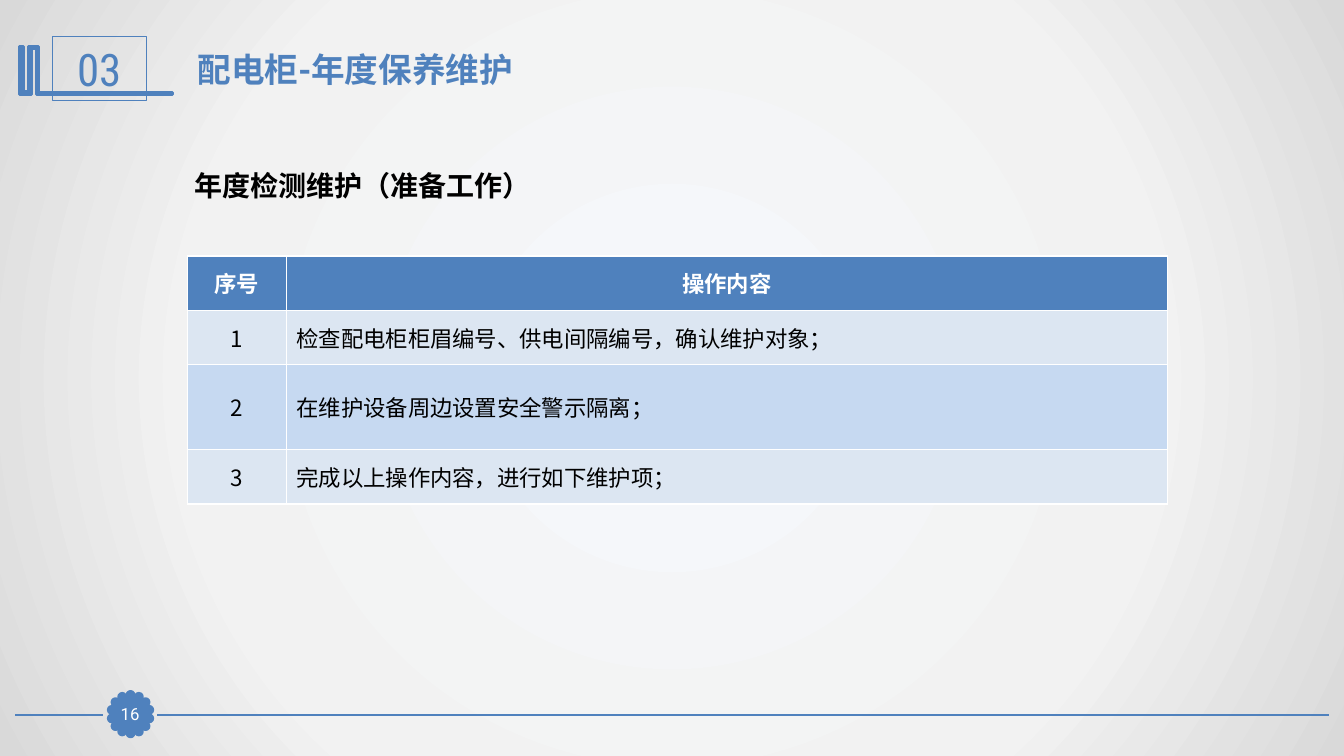
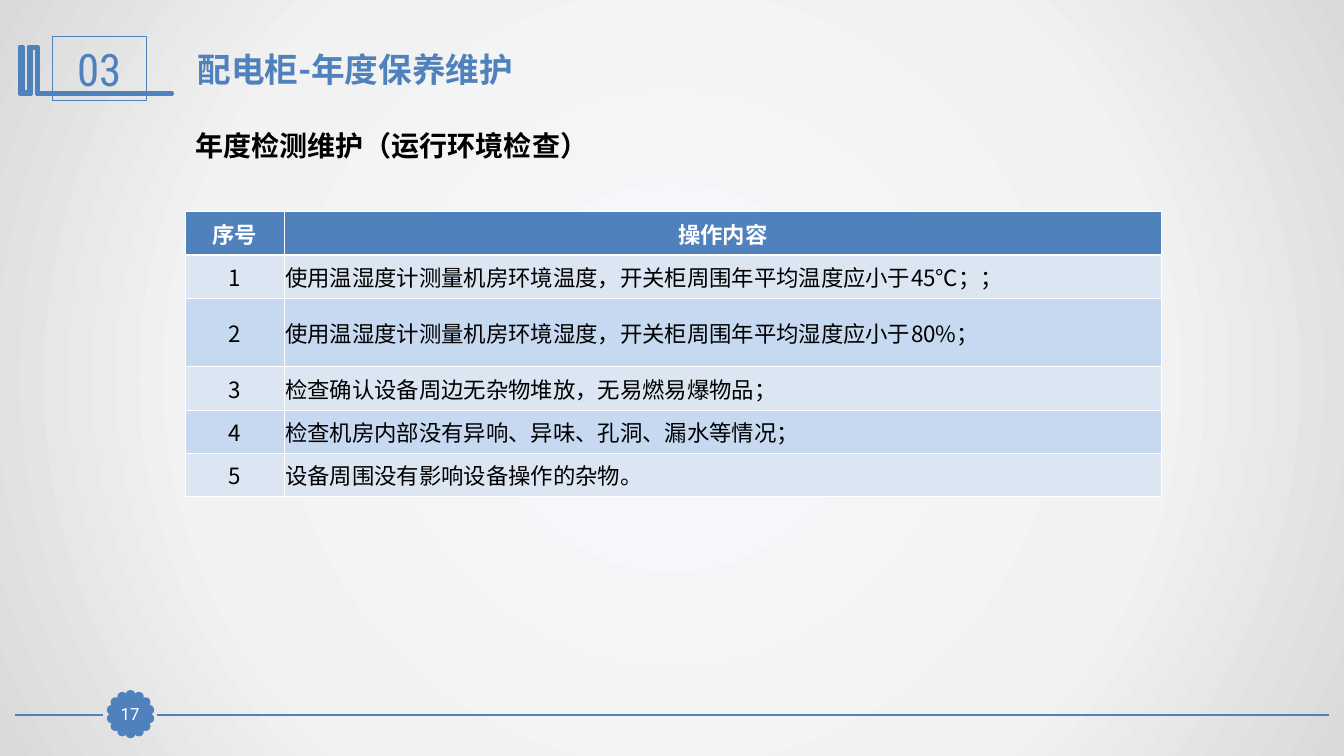
from math import cos, radians, sin

from lxml.etree import SubElement
from pptx import Presentation
from pptx.dml.color import RGBColor
from pptx.enum.shapes import MSO_CONNECTOR as CONNECTOR, MSO_SHAPE as SHAPE
from pptx.enum.text import MSO_ANCHOR as ANCHOR, PP_ALIGN as ALIGN
from pptx.oxml import parse_xml
from pptx.oxml.ns import nsdecls, qn
from pptx.util import Inches, Pt

BLUE, WHITE, BLACK = "4F81BD", "FFFFFF", "000000"
BANDS = ["DCE6F2", "C6D9F1"]
BODY, NUMERAL, CHINESE = "Roboto", "Roboto Condensed", "Noto Sans CJK SC"
BACKGROUND = [(0, "F6F9FC"), (63, "F2F2F2"), (100, "D9D9D9")]
SECTION = "03"
TITLE = "配电柜-年度保养维护"
HEADERS = ["序号", "操作内容"]
BADGE_DOTS = 14
BOOK_OUTLINE = [
    (0.38, 0.46), (0.38, 0.92), (1.71, 0.92), (1.71, 0.94), (0.36, 0.94),
    (0.36, 0.48), (0.31, 0.48), (0.31, 0.94), (0.19, 0.94), (0.19, 0.46),
    (0.23, 0.46), (0.23, 0.91), (0.28, 0.91), (0.28, 0.46),
]
SLIDES = [
    {
        "number": "16",
        "heading": ("年度检测维护（准备工作）", 1.83, 1.62),
        "table": (1.86, 2.54),
        "columns": [0.98, 8.74],
        "row": 0.54,
        "tall_row": 0.84,
        "margins": (0.1, 0.05),
        "steps": [
            "检查配电柜柜眉编号、供电间隔编号，确认维护对象；",
            "在维护设备周边设置安全警示隔离；",
            "完成以上操作内容，进行如下维护项；",
        ],
    },
    {
        "number": "17",
        "heading": ("年度检测维护（运行环境检查）", 1.84, 1.23),
        "table": (1.84, 2.1),
        "columns": [0.98, 8.7],
        "row": 0.43,
        "tall_row": 0.68,
        "margins": (0.01, 0.01),
        "steps": [
            "使用温湿度计测量机房环境温度，开关柜周围年平均温度应小于45℃；；",
            "使用温湿度计测量机房环境湿度，开关柜周围年平均湿度应小于80%；",
            "检查确认设备周边无杂物堆放，无易燃易爆物品；",
            "检查机房内部没有异响、异味、孔洞、漏水等情况；",
            "设备周围没有影响设备操作的杂物。",
        ],
    },
]


def color(value):
    return RGBColor.from_string(value)


def write(frame, text, size, font, shade, bold=False, align=ALIGN.LEFT):
    para = frame.paragraphs[0]
    para.alignment = align
    span = para.add_run()
    span.text = text
    span.font.size = Pt(size)
    span.font.name = font
    span.font.bold = bold
    span.font.color.rgb = color(shade)
    SubElement(span.font._element, qn("a:ea"), typeface=CHINESE)


deck = Presentation()
deck.slide_width = Inches(13.33)
deck.slide_height = Inches(7.5)
stops = "".join(
    f'<a:gs pos="{place * 1000}"><a:srgbClr val="{shade}"/></a:gs>'
    for place, shade in BACKGROUND
)

for content in SLIDES:
    page = deck.slides.add_slide(deck.slide_layouts[6])
    shapes = page.shapes

    page.background.fill.solid()
    backdrop = page.element.find(".//" + qn("p:bgPr"))
    backdrop.replace(backdrop[0], parse_xml(
        f'<a:gradFill {nsdecls("a")} rotWithShape="1"><a:gsLst>{stops}</a:gsLst>'
        '<a:path path="circle"><a:fillToRect l="50000" t="50000" r="50000" b="50000"/>'
        '</a:path></a:gradFill>'
    ))

    for start, end in [(13.18, 1.56), (1.02, 0.15)]:
        rule = shapes.add_connector(
            CONNECTOR.STRAIGHT, Inches(start), Inches(7.09), Inches(end), Inches(7.09)
        )
        rule.line.color.rgb = color(BLUE)
        rule.line.width = Pt(1.25)
        SubElement(rule._element.spPr, qn("a:effectLst"))

    outlined = []
    for index in range(BADGE_DOTS):
        angle = radians(index * 360 / BADGE_DOTS)
        dot = shapes.add_shape(
            SHAPE.OVAL,
            Inches(1.26 + 0.19 * sin(angle)), Inches(7.05 - 0.19 * cos(angle)),
            Inches(0.07), Inches(0.07),
        )
        outlined.append((dot, 2))

    points = [(Inches(x), Inches(y)) for x, y in BOOK_OUTLINE]
    builder = shapes.build_freeform(*points[0])
    builder.add_line_segments(points[1:], close=True)
    book = builder.convert_to_shape()
    outlined.append((book, 2))

    section = shapes.add_shape(
        SHAPE.RECTANGLE, Inches(0.52), Inches(0.36), Inches(0.93), Inches(0.64)
    )
    badge = shapes.add_shape(
        SHAPE.RECTANGLE, Inches(1.13), Inches(6.93), Inches(0.32), Inches(0.31)
    )
    outlined += [(section, 0.75), (badge, 0.75)]
    for shape, width in outlined:
        shape.shadow.inherit = False
        shape.fill.solid()
        shape.fill.fore_color.rgb = color(BLUE)
        shape.line.color.rgb = color(BLUE)
        shape.line.width = Pt(width)
    section.fill.background()
    SubElement(book.line._get_or_add_ln(), qn("a:round"))

    frame = badge.text_frame
    frame.margin_left = frame.margin_right = frame.margin_top = frame.margin_bottom = 0
    for box, text, size, font, shade in [
        (section, SECTION, 32, NUMERAL, BLUE),
        (badge, content["number"], 12, BODY, WHITE),
    ]:
        box.text_frame.vertical_anchor = ANCHOR.MIDDLE
        write(box.text_frame, text, size, font, shade, align=ALIGN.CENTER)

    heading, left, top = content["heading"]
    for text, x, y, width, height, size, shade in [
        (heading, left, top, 5.77, 0.44, 20, BLACK),
        (TITLE, 1.86, 0.44, 9.69, 0.5, 24, BLUE),
    ]:
        box = shapes.add_textbox(Inches(x), Inches(y), Inches(width), Inches(height))
        box.text_frame.word_wrap = True
        write(box.text_frame, text, size, BODY, shade, bold=True)

    rows = [HEADERS] + [[str(n), step] for n, step in enumerate(content["steps"], 1)]
    heights = [content["row"]] * len(rows)
    heights[2] = content["tall_row"]
    left, top = content["table"]
    table = shapes.add_table(
        len(rows), 2, Inches(left), Inches(top),
        Inches(sum(content["columns"])), Inches(sum(heights)),
    ).table
    for column, width in zip(table.columns, content["columns"]):
        column.width = Inches(width)
    for r, values in enumerate(rows):
        table.rows[r].height = Inches(heights[r])
        header = r == 0
        for c, text in enumerate(values):
            cell = table.cell(r, c)
            cell.vertical_anchor = ANCHOR.MIDDLE
            cell.fill.solid()
            cell.fill.fore_color.rgb = color(BLUE if header else BANDS[(r - 1) % 2])
            is_step = c == 1 and not header
            if is_step:
                side, edge = content["margins"]
                cell.margin_left = cell.margin_right = Inches(side)
                cell.margin_top = cell.margin_bottom = Inches(edge)
            write(
                cell.text_frame, text, 16, CHINESE, WHITE if header else BLACK,
                bold=header, align=ALIGN.LEFT if is_step else ALIGN.CENTER,
            )

deck.save("out.pptx")
